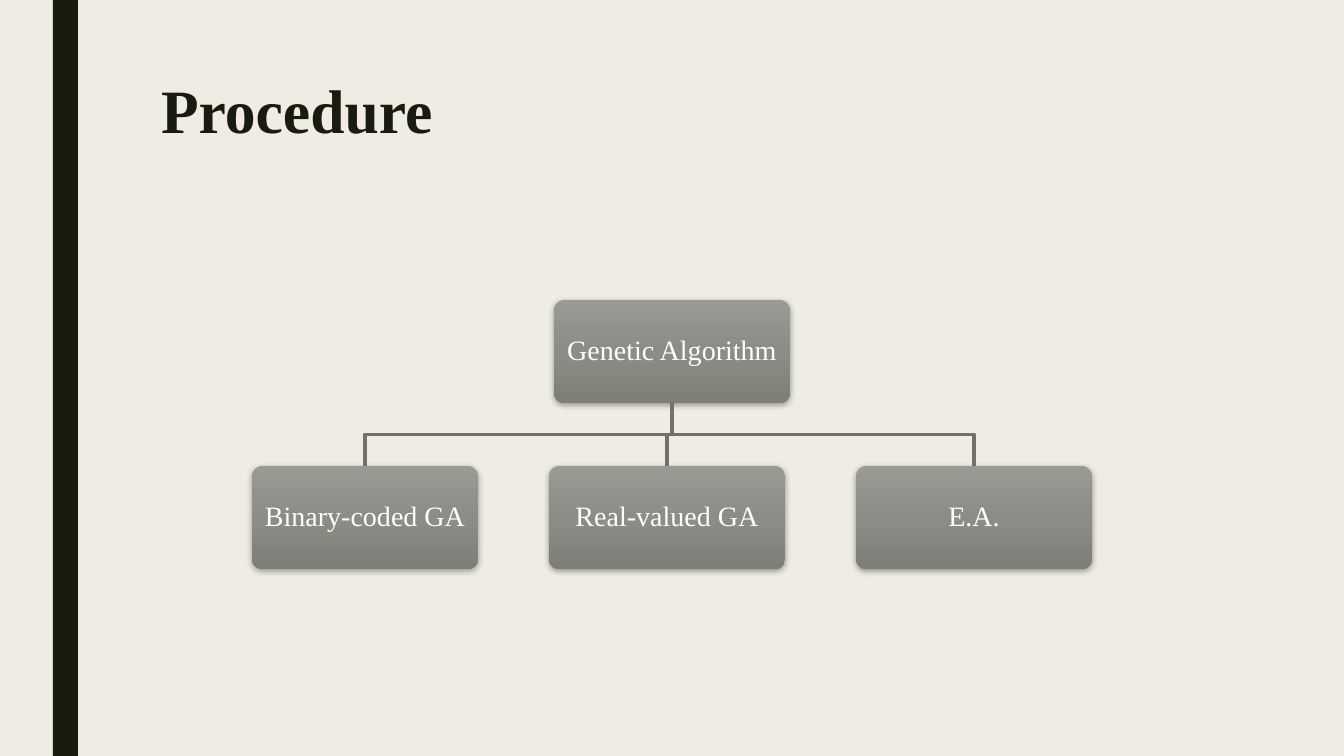
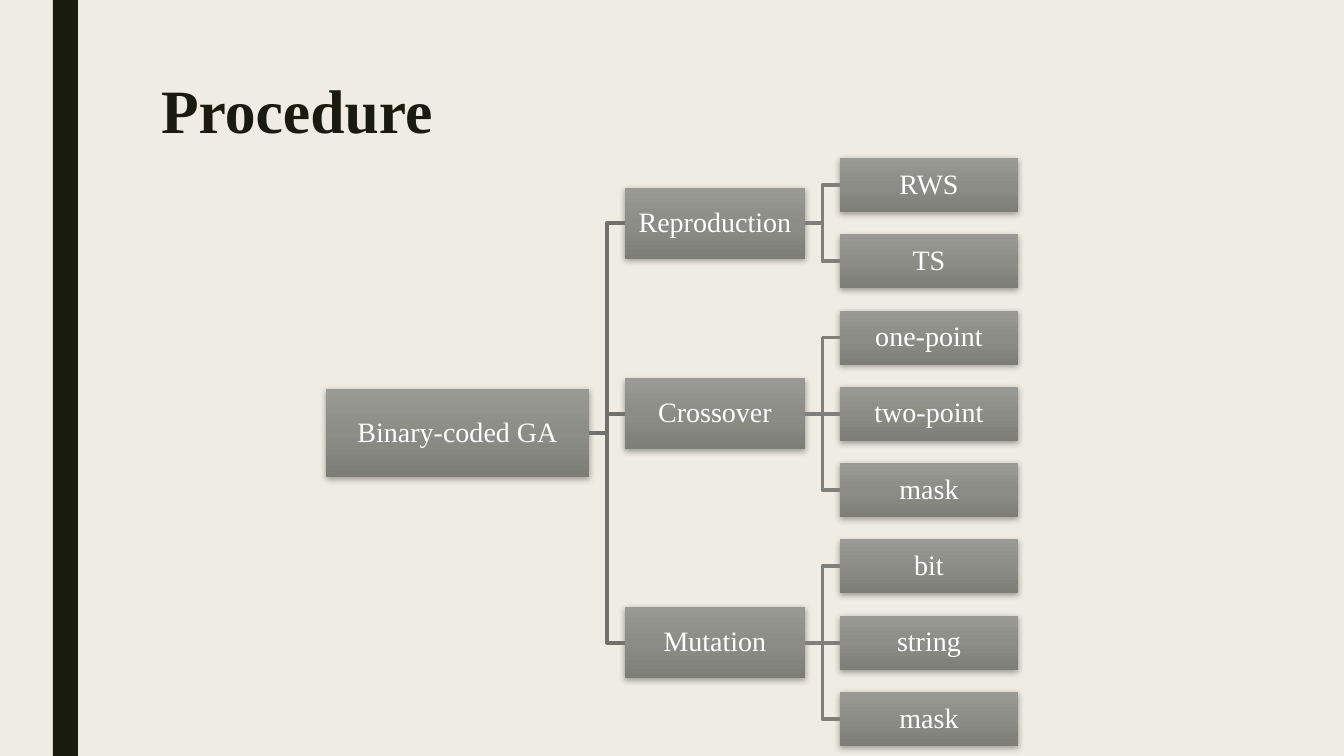
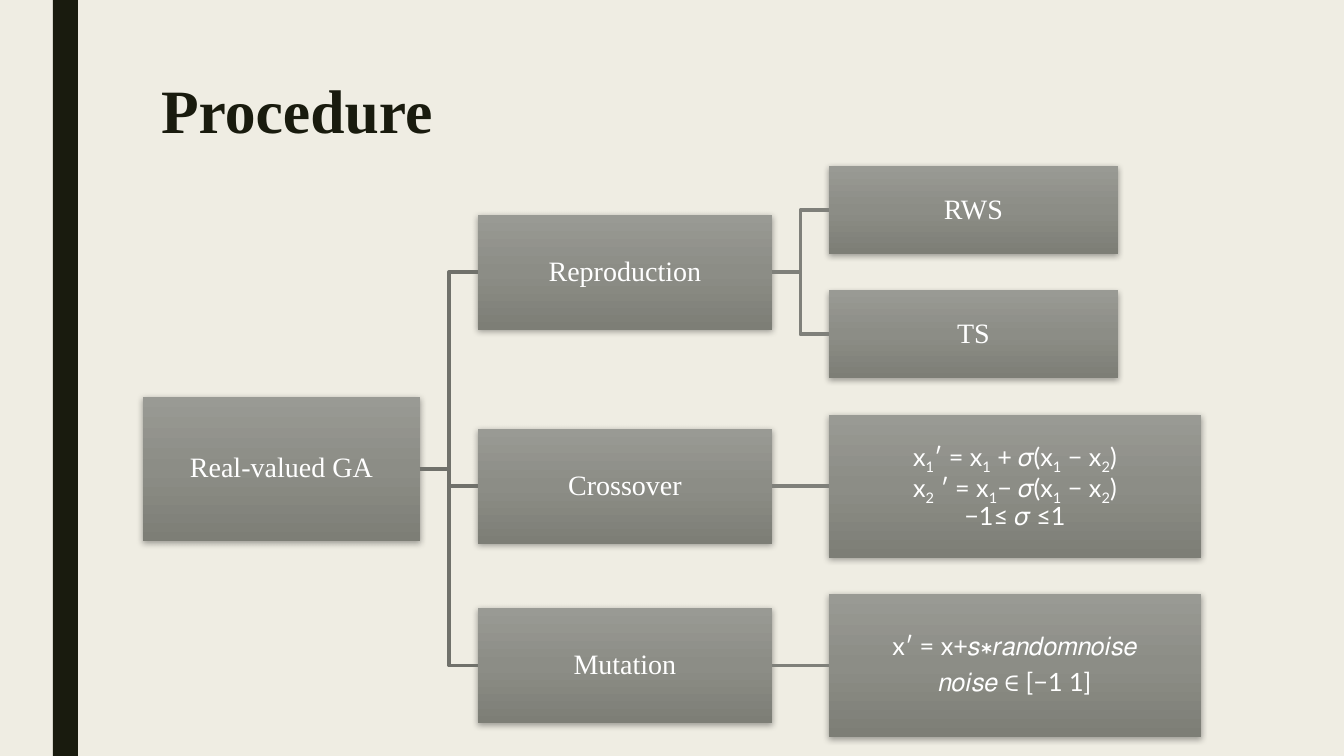
from pptx import Presentation
from pptx.dml.color import RGBColor
from pptx.enum.shapes import MSO_CONNECTOR, MSO_SHAPE
from pptx.enum.text import MSO_ANCHOR, PP_ALIGN
from pptx.oxml import parse_xml
from pptx.oxml.ns import nsdecls, qn
from pptx.util import Pt

PX = 914400 / 100.8
WIDTH, HEIGHT = 1344, 756
TOP, LEFT, BOTTOM, RIGHT = range(4)

PAPER, INK, WHITE = "EFEDE3", "191B0E", "FFFFFF"
GRADIENT = [(0, "999A94"), (50, "8C8D86"), (100, "7D7E76")]
FIRST_LINE, SECOND_LINE = "70716B", "7F807A"
SERIF, FORMULA = ("Times New Roman", 20), ("Lato", 18)

TITLE = "Procedure"
OVERVIEW = {
    "root": ("Genetic Algorithm", 236),
    "children": [("Binary-coded GA", 226), ("Real-valued GA", 236), ("E.A.", 236)],
    "left": 252, "gap": 71, "height": 103, "root_top": 300, "child_top": 466,
}

# In formulas "_" lowers the next character, a newline breaks the line
# and each list item is a paragraph.
CROSSOVER = ["x_1′ = x_1 + 𝜎(x_1 − x_2)\nx_2 ′ = x_1− 𝜎(x_1 − x_2)\n−1≤ 𝜎 ≤1"]
MUTATION = ["x′ = x+𝑠∗𝑟𝑎𝑛𝑑𝑜𝑚𝑛𝑜𝑖𝑠𝑒", "𝑛𝑜𝑖𝑠𝑒 ∈ [−1 1]"]

# Column and leaf sizes: left, width, height
BINARY = {
    "root": "Binary-coded GA",
    "branches": [
        ("Reproduction", ["RWS", "TS"]),
        ("Crossover", ["one-point", "two-point", "mask"]),
        ("Mutation", ["bit", "string", "mask"]),
    ],
    "root_column": (326, 263, 88), "branch_column": (625, 180, 71),
    "leaf": (840, 178, 54), "formula": None, "top": 158, "bottom": 746,
}
REAL = {
    "root": "Real-valued GA",
    "branches": [
        ("Reproduction", ["RWS", "TS"]),
        ("Crossover", [CROSSOVER]),
        ("Mutation", [MUTATION]),
    ],
    "root_column": (143, 277, 144), "branch_column": (478, 294, 115),
    "leaf": (829, 289, 88), "formula": (829, 372, 143), "top": 166, "bottom": 737,
}


def px(length):
    return round(length * PX)


def color(value):
    return RGBColor.from_string(value)


def style_master(deck, page):
    """Put background, side band and title style on the slide master."""
    master = deck.slide_master
    master.background.fill.solid()
    master.background.fill.fore_color.rgb = color(PAPER)

    band = page.shapes.add_shape(MSO_SHAPE.RECTANGLE, px(53), 0, px(25), px(HEIGHT))
    band.fill.solid()
    band.fill.fore_color.rgb = color(INK)
    band.line.fill.background()
    band.shadow.inherit = False
    master.shapes.element.insert(2, band.element)

    title = next(shape for shape in master.placeholders
                 if shape.placeholder_format.idx == 0)
    title.left, title.top, title.width, title.height = map(px, (151, 76, 1058, 163))
    title.text_frame.vertical_anchor = MSO_ANCHOR.TOP
    level = next(master.element.iter(qn("p:titleStyle"))).find(qn("a:lvl1pPr"))
    level.getparent().replace(level, parse_xml(
        f'<a:lvl1pPr {nsdecls("a")} algn="l"><a:lnSpc><a:spcPct val="89000"/></a:lnSpc>'
        f'<a:buNone/><a:defRPr sz="4400" b="1"><a:solidFill><a:srgbClr val="{INK}"/>'
        f'</a:solidFill><a:latin typeface="{SERIF[0]}"/></a:defRPr></a:lvl1pPr>'))


def add_span(para, text, font, lowered=False):
    span = para.add_run()
    span.text = text
    span.font.name, span.font.size = font[0], Pt(font[1])
    span.font.color.rgb = color(WHITE)
    if lowered:
        span.font._element.set("baseline", "-25000")


def add_formula_line(para, line):
    first, *rest = line.split("_")
    add_span(para, first, FORMULA)
    for piece in rest:
        add_span(para, piece[0], FORMULA, lowered=True)
        if piece[1:]:
            add_span(para, piece[1:], FORMULA)


def write(box, content):
    frame = box.text_frame
    frame.word_wrap = True
    frame.vertical_anchor = MSO_ANCHOR.MIDDLE
    frame.margin_left = frame.margin_right = px(2)
    frame.margin_top = frame.margin_bottom = px(2)
    is_label = isinstance(content, str)
    for number, text in enumerate([content] if is_label else content):
        para = frame.add_paragraph() if number else frame.paragraphs[0]
        para.alignment = PP_ALIGN.CENTER
        para.line_spacing = 0.9
        para.space_after = Pt(6)
        if is_label:
            add_span(para, text, SERIF)
            continue
        for row, line in enumerate(text.split("\n")):
            if row:
                para.add_line_break()
            add_formula_line(para, line)


def add_box(page, content, left, top, width, height, kind=MSO_SHAPE.RECTANGLE):
    box = page.shapes.add_shape(kind, px(left), px(top), px(width), px(height))
    if kind == MSO_SHAPE.ROUNDED_RECTANGLE:
        box.adjustments[0] = 0.1
    box.line.fill.background()
    box.shadow.inherit = False
    properties = box.element.spPr
    stops = "".join(f'<a:gs pos="{place * 1000}"><a:srgbClr val="{value}"/></a:gs>'
                    for place, value in GRADIENT)
    properties.find(qn("a:prstGeom")).addnext(parse_xml(
        f'<a:gradFill {nsdecls("a")} rotWithShape="1"><a:gsLst>{stops}</a:gsLst>'
        '<a:lin ang="5400000" scaled="0"/></a:gradFill>'))
    properties.find(qn("a:effectLst")).append(parse_xml(
        f'<a:outerShdw {nsdecls("a")} blurRad="57150" dist="19050" dir="5400000" '
        'algn="ctr" rotWithShape="0"><a:srgbClr val="000000"><a:alpha val="35000"/>'
        '</a:srgbClr></a:outerShdw>'))
    write(box, content)
    return box


def join(page, parent, child, start, end, line_color, kind=MSO_CONNECTOR.ELBOW):
    link = page.shapes.add_connector(kind, 0, 0, 0, 0)
    link.begin_connect(parent, start)
    link.end_connect(child, end)
    link.line.color.rgb = color(line_color)
    link.line.width = Pt(2.75)
    link.element.spPr.append(parse_xml(f'<a:effectLst {nsdecls("a")}/>'))
    return link


def turn_down(link):
    """Turn an elbow a quarter so that it leaves and arrives vertically."""
    across, down = link.end_x - link.begin_x, link.end_y - link.begin_y
    middle_x = (link.begin_x + link.end_x) // 2
    middle_y = (link.begin_y + link.end_y) // 2
    link.width, link.height = down, abs(across)
    link.left, link.top = middle_x - down // 2, middle_y - abs(across) // 2
    frame = link.element.spPr.find(qn("a:xfrm"))
    frame.set("rot", "5400000")
    frame.set("flipH", "0")
    frame.set("flipV", "1" if across > 0 else "0")


def draw_down_tree(page, tree):
    rounded = MSO_SHAPE.ROUNDED_RECTANGLE
    height, gap, left = tree["height"], tree["gap"], tree["left"]
    children = tree["children"]
    span = sum(width for _, width in children) + gap * (len(children) - 1)
    label, width = tree["root"]
    root = add_box(page, label, left + (span - width) / 2, tree["root_top"],
                   width, height, rounded)
    for label, width in children:
        child = add_box(page, label, left, tree["child_top"], width, height, rounded)
        turn_down(join(page, root, child, BOTTOM, TOP, FIRST_LINE))
        left += width + gap


def add_parent(page, content, column, children, line_color):
    """Centre a box on its children, given as (box, centre), and join them."""
    left, width, height = column
    middle = (children[0][1] + children[-1][1]) / 2
    parent = add_box(page, content, left, middle - height / 2, width, height)
    for child, centre in children:
        level = abs(centre - middle) < 1
        kind = MSO_CONNECTOR.STRAIGHT if level else MSO_CONNECTOR.ELBOW
        join(page, parent, child, RIGHT, LEFT, line_color, kind)
    return parent, middle


def draw_right_tree(page, tree):
    def leaf_size(content):
        return tree["leaf" if isinstance(content, str) else "formula"]

    heights = [leaf_size(leaf)[2] for _, leaves in tree["branches"] for leaf in leaves]
    top = tree["top"]
    gap = (tree["bottom"] - top - sum(heights)) / (len(heights) - 1)
    branches = []
    for label, contents in tree["branches"]:
        leaves = []
        for content in contents:
            left, width, height = leaf_size(content)
            leaves.append((add_box(page, content, left, top, width, height),
                           top + height / 2))
            top += height + gap
        branches.append(add_parent(page, label, tree["branch_column"],
                                   leaves, SECOND_LINE))
    add_parent(page, tree["root"], tree["root_column"], branches, FIRST_LINE)


def main():
    deck = Presentation()
    deck.slide_width, deck.slide_height = px(WIDTH), px(HEIGHT)
    title_only = deck.slide_layouts[5]
    slides = [(draw_down_tree, OVERVIEW), (draw_right_tree, BINARY),
              (draw_right_tree, REAL)]
    for number, (draw, tree) in enumerate(slides):
        page = deck.slides.add_slide(title_only)
        if number == 0:
            style_master(deck, page)
        page.shapes.title.text_frame.paragraphs[0].add_run().text = TITLE
        draw(page, tree)
    deck.save("out.pptx")


if __name__ == "__main__":
    main()
